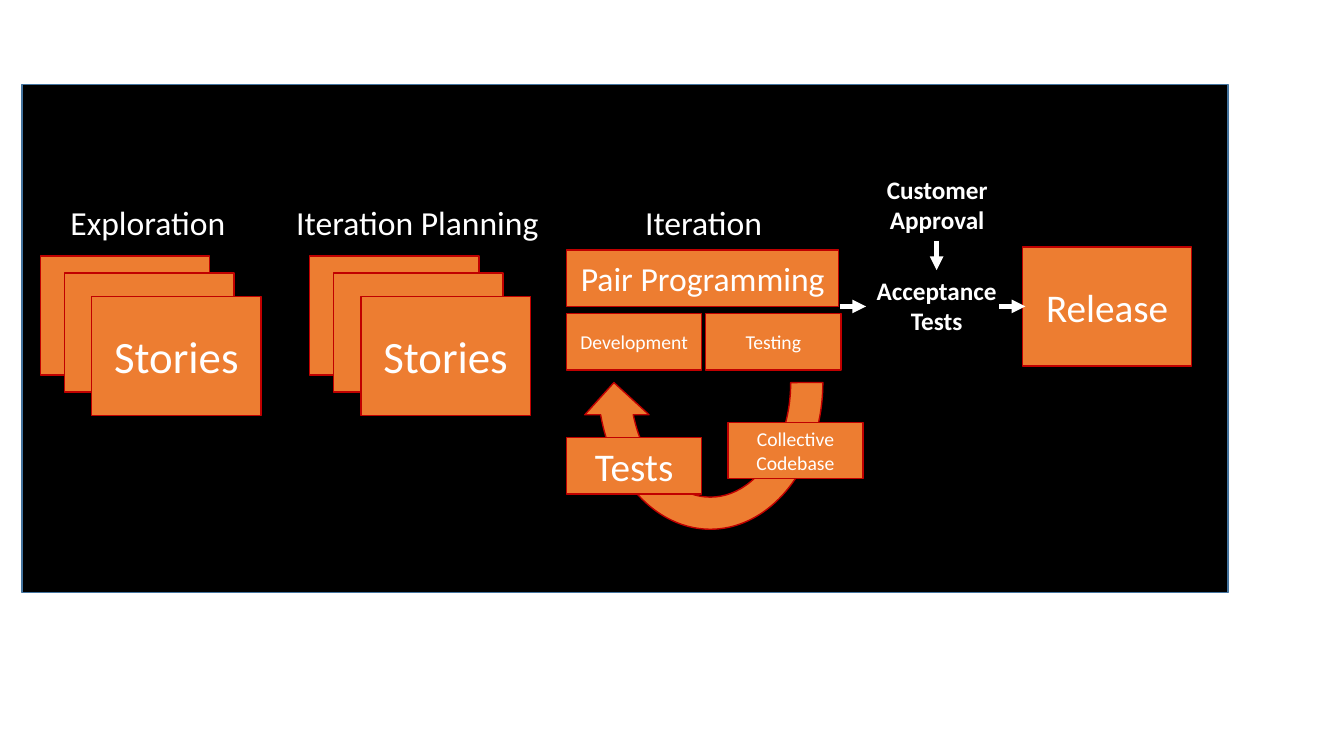
from lxml import etree
from pptx import Presentation
from pptx.dml.color import RGBColor
from pptx.enum.shapes import MSO_CONNECTOR as CONNECTOR, MSO_SHAPE as SHAPE
from pptx.enum.text import MSO_ANCHOR as ANCHOR, PP_ALIGN as ALIGN
from pptx.oxml.ns import qn
from pptx.util import Inches, Pt

WHITE = "FFFFFF"
BLACK = "000000"
ORANGE = "ED7D31"
RED = "C00000"
BLUE = "43739E"
CARD_WIDTH, CARD_HEIGHT = 1.68, 1.18
STEP_WIDTH, STEP_HEIGHT = 1.34, 0.56


def color(value):
    return RGBColor.from_string(value)


def write_text(frame, text, size=18, bold=False, align=ALIGN.CENTER):
    for index, line in enumerate(text.split("\n")):
        paragraph = frame.paragraphs[0] if index == 0 else frame.add_paragraph()
        paragraph.alignment = align
        run = paragraph.add_run()
        run.text = line
        run.font.name = "Calibri"
        run.font.size = Pt(size)
        run.font.bold = bold
        run.font.color.rgb = color(WHITE)


def add_block(slide, box, text="", size=18, kind=SHAPE.RECTANGLE, fill=ORANGE, line=RED):
    shape = slide.shapes.add_shape(kind, *map(Inches, box))
    shape.shadow.inherit = False
    shape.fill.solid()
    shape.fill.fore_color.rgb = color(fill)
    shape.line.color.rgb = color(line)
    shape.line.width = Pt(1)
    if text:
        shape.text_frame.word_wrap = True
        shape.text_frame.vertical_anchor = ANCHOR.MIDDLE
        write_text(shape.text_frame, text, size=size)
    return shape


def add_label(slide, box, text, **text_format):
    shape = slide.shapes.add_textbox(*map(Inches, box))
    shape.text_frame.word_wrap = False
    write_text(shape.text_frame, text, **text_format)


def add_heading(slide, box, text):
    add_label(slide, box, text, size=24, align=ALIGN.LEFT)


def add_arrow(slide, start, end):
    arrow = slide.shapes.add_connector(CONNECTOR.STRAIGHT, *map(Inches, start + end))
    arrow.line.color.rgb = color(WHITE)
    arrow.line.width = Pt(3.25)
    etree.SubElement(arrow.line._get_or_add_ln(), qn("a:tailEnd"), type="triangle")
    etree.SubElement(arrow._element.spPr, qn("a:effectLst"))


def add_story_stack(slide, left, top):
    for across, down, text in ((0, 0, ""), (0.24, 0.17, ""), (0.51, 0.4, "Stories")):
        box = (left + across, top + down, CARD_WIDTH, CARD_HEIGHT)
        add_block(slide, box, text, size=32)


def add_iteration(slide, left, top):
    cycle_box = (left + 0.15, top + 0.23, 2.55, 3.23)
    cycle = add_block(slide, cycle_box, kind=SHAPE.CIRCULAR_ARROW)
    cycle.rotation = 180
    add_heading(slide, (left + 0.68, top, 1.38, 0.5), "Iteration")
    steps = (
        ("Pair Programming", 0, 0.53, 2.7, 24),
        ("Development", 0, 1.16, STEP_WIDTH, 14),
        ("Testing", 1.38, 1.16, STEP_WIDTH, 14),
        ("Tests", 0, 2.39, STEP_WIDTH, 28),
        ("Collective Codebase", 1.6, 2.24, STEP_WIDTH, 14),
    )
    for text, across, down, width, size in steps:
        box = (left + across, top + down, width, STEP_HEIGHT)
        add_block(slide, box, text, size=size)


def add_acceptance(slide, left, top):
    add_label(slide, (left + 0.1, top, 1.21, 0.71), "Customer\nApproval", bold=True)
    add_label(slide, (left, top + 1, 1.4, 0.71), "Acceptance\nTests", bold=True)
    add_arrow(slide, (left + 0.7, top + 0.71), (left + 0.7, top + 1))


def add_release(slide, left, top):
    add_block(slide, (left, top, CARD_WIDTH, CARD_HEIGHT), "Release", size=28)


def build_process(slide, left, top):
    add_block(slide, (left, top, 11.96, 5.04), fill=BLACK, line=BLUE)
    heading_top = top + 1.11
    add_heading(slide, (left + 0.38, heading_top, 1.76, 0.5), "Exploration")
    add_heading(slide, (left + 2.62, heading_top, 2.63, 0.5), "Iteration Planning")
    for stack_left in (0.18, 2.85):
        add_story_stack(slide, left + stack_left, top + 1.7)
    add_iteration(slide, left + 5.4, heading_top)
    add_acceptance(slide, left + 8.37, top + 0.84)
    add_release(slide, left + 9.92, top + 1.61)
    for arrow_left in (8.11, 9.69):
        start = left + arrow_left
        add_arrow(slide, (start, top + 2.2), (start + 0.26, top + 2.2))


def main():
    presentation = Presentation()
    presentation.slide_width = Inches(13.33)
    presentation.slide_height = Inches(7.5)
    slide = presentation.slides.add_slide(presentation.slide_layouts[6])
    build_process(slide, 0.22, 0.84)
    presentation.save("out.pptx")


if __name__ == "__main__":
    main()
